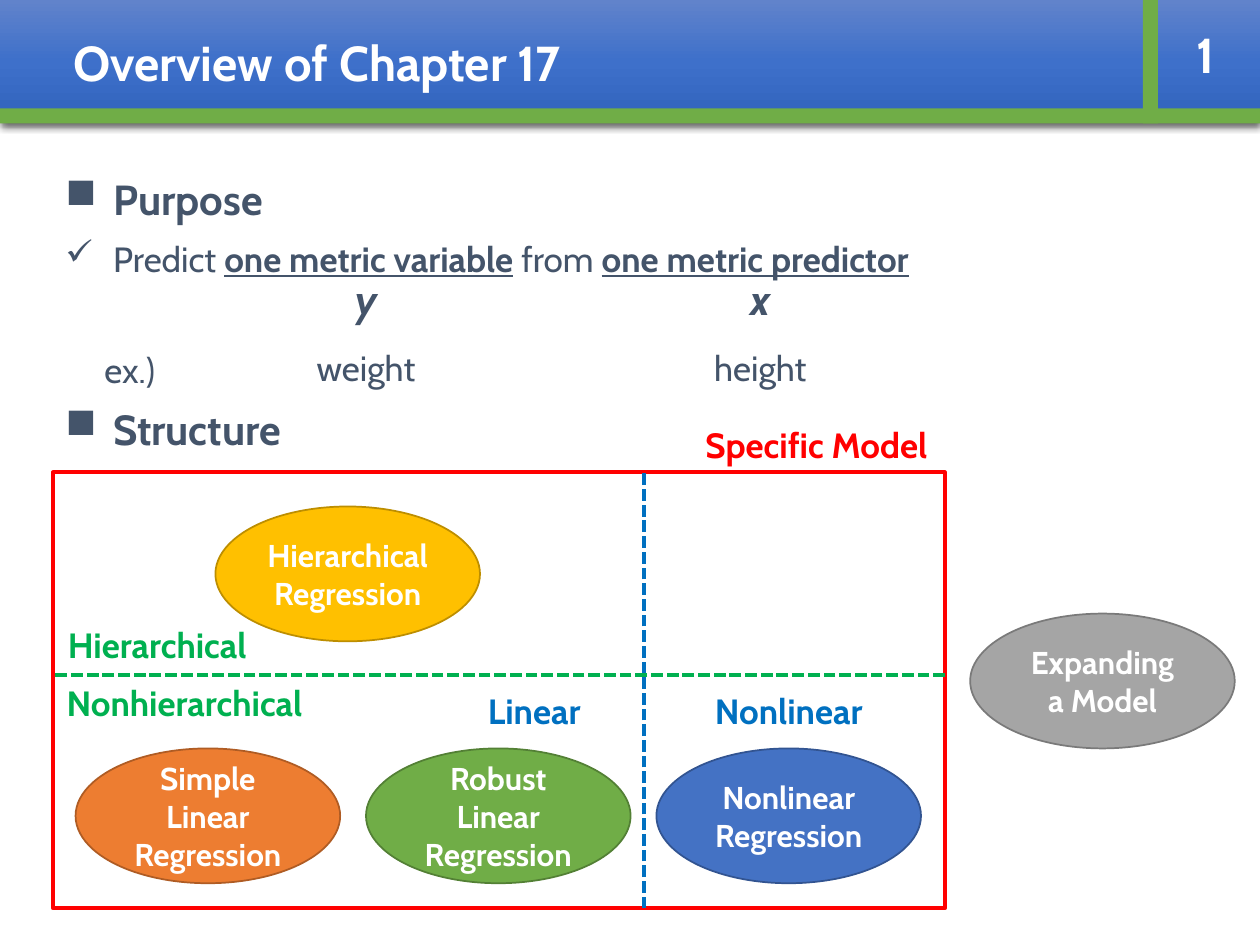
from dataclasses import dataclass
from typing import NamedTuple

from pptx import Presentation
from pptx.dml.color import RGBColor
from pptx.enum.dml import MSO_LINE
from pptx.enum.shapes import MSO_CONNECTOR, MSO_SHAPE
from pptx.enum.text import MSO_ANCHOR, PP_ALIGN
from pptx.oxml import parse_xml
from pptx.oxml.ns import nsdecls
from pptx.util import Inches, Pt


@dataclass(frozen=True)
class Theme:
    font: str = "Cabin"
    white: str = "FFFFFF"
    ink: str = "44546A"
    red: str = "FF0000"
    blue: str = "0070C0"
    green: str = "00B050"
    bar: str = "70AD47"
    grad: tuple = ((0, "6183CB"), (50, "3E70CA"), (100, "3062BB"))
    title: int = 28
    head: int = 24
    body: int = 20
    node: int = 18
    gap: float = 7.5
    rule: float = 2.25


class Box(NamedTuple):
    """Left, top, width and height in grid cells."""
    col: float
    row: float
    wide: float
    high: float


class Node(NamedTuple):
    text: str
    col: float
    row: float
    fill: str
    edge: str


class Label(NamedTuple):
    text: str
    box: Box
    color: str
    align: PP_ALIGN = PP_ALIGN.CENTER
    size: int = 20
    bold: bool = True
    slant: bool = False


T = Theme()
COLS, ROWS = 100, 75
deck = Presentation()
deck.slide_width, deck.slide_height = Inches(10), Inches(7.5)
slide = deck.slides.add_slide(deck.slide_layouts[6])
shapes = slide.shapes


def across(col: float) -> int:
    return round(deck.slide_width * col / COLS)


def down(row: float) -> int:
    return round(deck.slide_height * row / ROWS)


def place(box: Box) -> tuple:
    return across(box.col), down(box.row), across(box.wide), down(box.high)


def write(para, text: str, *, size=T.body, color=T.ink, bold=False,
          slant=False, under=False, align=None) -> None:
    """Add one run of text to a paragraph."""
    run = para.add_run()
    run.text = text
    font = run.font
    font.name, font.size = T.font, Pt(size)
    font.bold, font.italic, font.underline = bold, slant, under
    font.color.rgb = RGBColor.from_string(color)
    if align is not None:
        para.alignment = align


def draw(kind: MSO_SHAPE, box: Box, fill=None, edge=None, width=1.0):
    shape = shapes.add_shape(kind, *place(box))
    shape.shadow.inherit = False
    if fill:
        shape.fill.solid()
        shape.fill.fore_color.rgb = RGBColor.from_string(fill)
    else:
        shape.fill.background()
    if edge:
        shape.line.color.rgb = RGBColor.from_string(edge)
        shape.line.width = Pt(width)
    else:
        shape.line.fill.background()
    return shape


def frame(box: Box, anchor=MSO_ANCHOR.TOP):
    text = shapes.add_textbox(*place(box)).text_frame
    text.word_wrap, text.vertical_anchor = True, anchor
    return text


def label(item: Label, anchor=MSO_ANCHOR.TOP) -> None:
    write(frame(item.box, anchor).paragraphs[0], item.text, size=item.size, color=item.color,
          bold=item.bold, slant=item.slant, align=item.align)


def node(item: Node) -> None:
    shape = draw(MSO_SHAPE.OVAL, Box(item.col, item.row, 21, 10.7), item.fill, item.edge)
    text = shape.text_frame
    text.word_wrap, text.vertical_anchor = True, MSO_ANCHOR.MIDDLE
    for i, line in enumerate(item.text.split("\n")):
        para = text.add_paragraph() if i else text.paragraphs[0]
        write(para, line, size=T.node, color=T.white, bold=True, align=PP_ALIGN.CENTER)


def dash(start: tuple, end: tuple, color: str) -> None:
    line = shapes.add_connector(MSO_CONNECTOR.STRAIGHT, across(start[0]), down(start[1]),
                                across(end[0]), down(end[1]))
    line.line.color.rgb = RGBColor.from_string(color)
    line.line.width = Pt(T.rule)
    line.line.dash_style = MSO_LINE.SQUARE_DOT
    line._element.spPr.append(parse_xml(f"<a:effectLst {nsdecls('a')}/>"))


def indent(para, left: float, hang: float = 0, mark: str = "") -> None:
    """Set the margin in inches, with a bullet if a mark is given."""
    props = para._p.get_or_add_pPr()
    props.set("marL", str(Inches(left)))
    props.set("indent", str(-Inches(hang)))
    if mark:
        props.append(parse_xml(f'<a:buChar {nsdecls("a")} char="{mark}"/>'))


# Header band with gradient and soft shadow
band = draw(MSO_SHAPE.RECTANGLE, Box(0, 0, COLS, 9.8))
band.fill.gradient()
band.fill.gradient_angle = 270
stops = band._element.spPr.find(".//{*}gsLst")
for stop in list(stops):
    stops.remove(stop)
for share, tint in T.grad:
    stops.append(parse_xml(f'<a:gs {nsdecls("a")} pos="{share * 1000}">'
                           f'<a:srgbClr val="{tint}"/></a:gs>'))
band._element.spPr.find("{*}effectLst").append(parse_xml(
    f'<a:outerShdw {nsdecls("a")} blurRad="{Pt(4.5)}" dist="{Pt(1.5)}" dir="5400000">'
    '<a:srgbClr val="000000"><a:alpha val="63000"/></a:srgbClr></a:outerShdw>'))
band.text_frame.margin_left = across(5.85)
band.text_frame.vertical_anchor = MSO_ANCHOR.MIDDLE
write(band.text_frame.paragraphs[0], "Overview of Chapter 17", size=T.title,
      color=T.white, bold=True, align=PP_ALIGN.LEFT)
for box in (Box(0, 8.6, COLS, 1.2), Box(90.7, 0, 1.2, 9.8)):
    draw(MSO_SHAPE.RECTANGLE, box, T.bar)
label(Label("1", Box(91.3, 0, 8.7, 8.6), T.white, size=T.title), MSO_ANCHOR.MIDDLE)

# Outline: each row holds its mark, space before and runs
HEAD = dict(size=T.head, bold=True)
KEY = dict(bold=True, under=True)
outline = [
    ("■", T.gap, [("Purpose", HEAD)]),
    ("✓", T.gap, [("Predict ", {}), ("one metric variable", KEY), (" from ", {}),
                  ("one metric predictor", KEY)]),
    ("", 39.3, [("ex.)", {})]),
    ("■", T.gap, [("Structure", HEAD)]),
]
body = frame(Box(4.2, 13.7, 91.5, 24.8))
for i, (mark, gap, runs) in enumerate(outline):
    para = body.add_paragraph() if i else body.paragraphs[0]
    para.space_before = Pt(gap)
    para.line_spacing = 1.0 if i else 0.9
    indent(para, *((0.38, 0.38, mark) if mark else (0.31,)))
    for text, style in runs:
        write(para, text, **style)

# Model frame and its dividers
area = Box(4.2, 37.5, 70.8, 34.6)
right, base = area.col + area.wide, area.row + area.high
draw(MSO_SHAPE.RECTANGLE, area, edge=T.red, width=T.rule)
dash((51.1, base), (51.1, area.row), T.blue)
dash((right, 53.6), (area.col, 53.6), T.green)

# Models
STEP, LOW = 23.05, 59.4
for item in (
    Node("Simple Linear\nRegression", 6, LOW, "ED7D31", "AF5C24"),
    Node("Robust Linear\nRegression", 6 + STEP, LOW, "70AD47", "538035"),
    Node("Nonlinear\nRegression", 6 + 2 * STEP, LOW, "4472C4", "325491"),
    Node("Hierarchical\nRegression", 17.1, 40.2, "FFC000", "BD8E00"),
    Node("Expanding\na Model", 77, 48.7, "A5A5A5", "7A7A7A"),
):
    node(item)

# Variables, examples and region names
for item in (
    Label("x", Box(55.9, 21.2, 8.9, 5), T.ink, size=T.head, slant=True),
    Label("y", Box(24.6, 21.2, 8.9, 5), T.ink, size=T.head, slant=True),
    Label("weight", Box(20.1, 27, 17.9, 4.4), T.ink, bold=False),
    Label("height", Box(54.3, 27, 12.1, 4.4), T.ink, bold=False),
    Label("Specific Model", Box(52.9, 33.1, 23.8, 4.4), T.red),
    Label("Linear", Box(30.5, 54.2, 23.8, 4.4), T.blue),
    Label("Nonlinear", Box(53.8, 54.2, 17.6, 4.4), T.blue),
    Label("Nonhierarchical", Box(4.3, 53.6, 23.8, 4.4), T.green, PP_ALIGN.LEFT),
    Label("Hierarchical", Box(4.4, 49, 23.8, 4.4), T.green, PP_ALIGN.LEFT),
):
    label(item)

deck.save("out.pptx")
